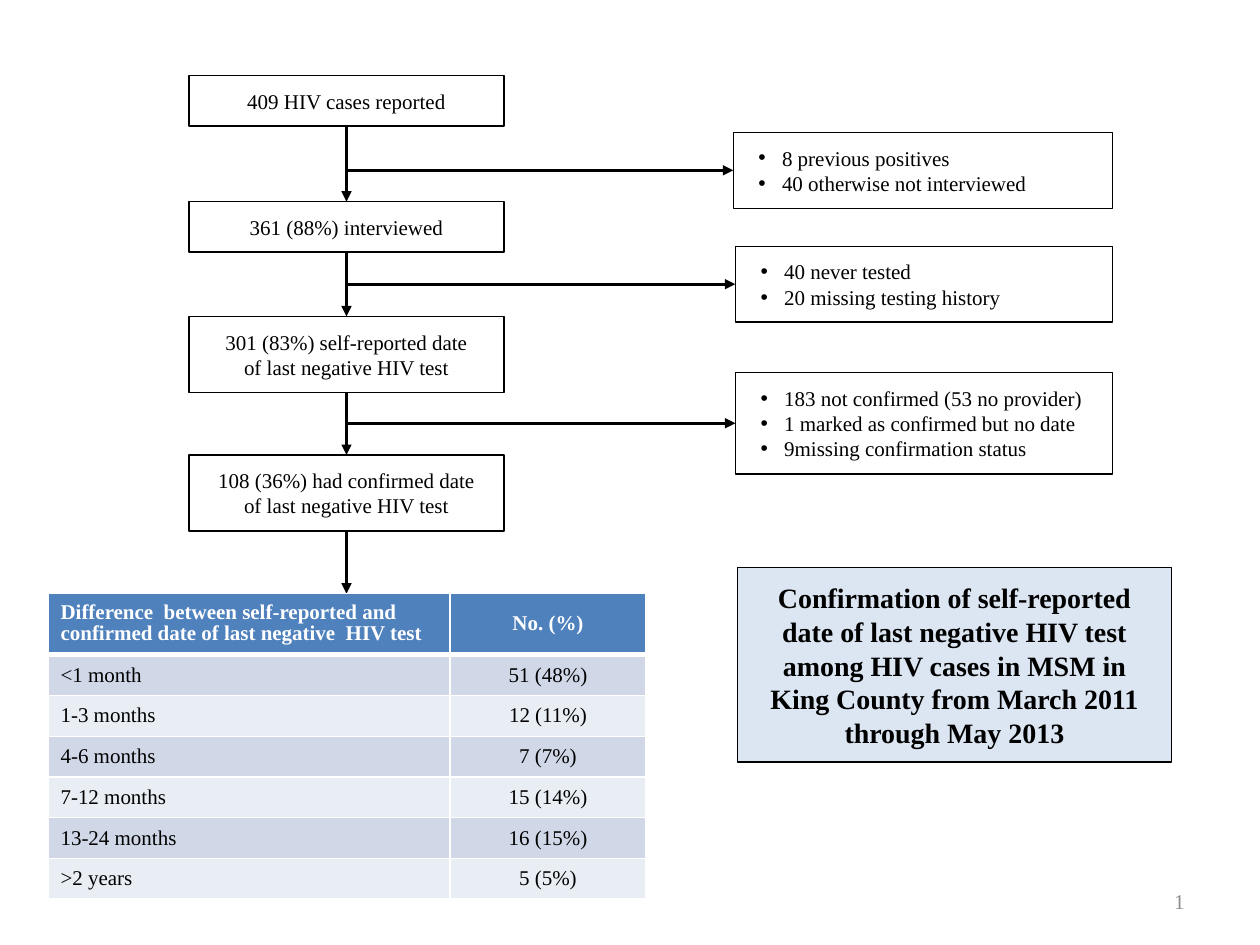
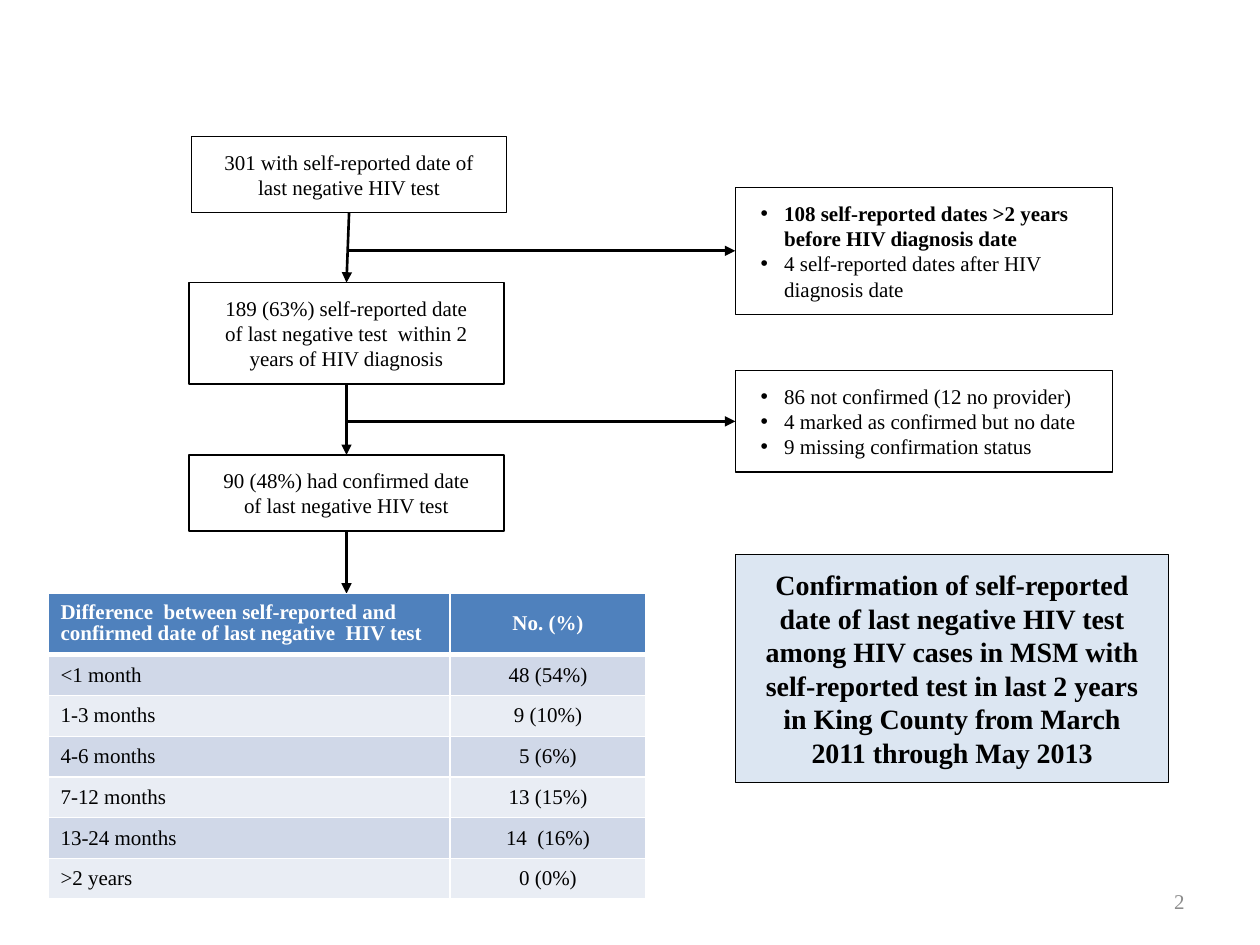
from lxml import etree
from pptx import Presentation
from pptx.dml.color import RGBColor
from pptx.enum import shapes, text
from pptx.oxml import ns
from pptx.util import Pt

# Shared style
FONT = "Times New Roman"
BLACK, WHITE, GREY = "000000", "FFFFFF", "8C8C8C"
TITLE_FILL, HEADER_FILL = "DCE6F2", "4F81BD"
BAND_FILLS = ("D0D8E8", "E9EDF4")
LEFT, CENTER, RIGHT = text.PP_ALIGN.LEFT, text.PP_ALIGN.CENTER, text.PP_ALIGN.RIGHT

# Shared layout, in points
STEP_LEFT, STEP_WIDTH = 108, 180
STEP_MIDDLE = STEP_LEFT + STEP_WIDTH / 2
SIDE_LEFT, SIDE_WIDTH = 420.2, 215.4
TITLE_WIDTH = 247.7
INSET_X, INSET_Y = 14.4, 7.2
BULLET_INDENT = 13.5
TABLE_LEFT, TABLE_TOP = 27.4, 339.2
COLUMN_WIDTHS = (229.7, 112.1)
HEADER_HEIGHT, ROW_HEIGHT = 35, 23.3

TABLE_HEADER = ("Difference  between self-reported and confirmed date of "
                "last negative  HIV test", "No. (%)")
INTERVALS = ("<1 month", "1-3 months", "4-6 months", "7-12 months",
             "13-24 months", ">2 years")

# Steps: (left, top, line count, text)
# Exclusions: (left, top, line count, bullets, number of bold bullets)
# Title: (left, top, line count, text)
FLOWS = [
    {
        "steps": [
            (STEP_LEFT, 43.2, 1, "409 HIV cases reported"),
            (STEP_LEFT, 115.2, 1, "361 (88%) interviewed"),
            (STEP_LEFT, 180.8, 2, "301 (83%) self-reported date of last negative HIV test"),
            (STEP_LEFT, 260, 2, "108 (36%) had confirmed date of last negative HIV test"),
        ],
        "exclusions": [
            (419, 75.6, 2, ["8 previous positives", "40 otherwise not interviewed"], 0),
            (SIDE_LEFT, 140.7, 2, ["40 never tested", "20 missing testing history"], 0),
            (SIDE_LEFT, 212.9, 3, ["183 not confirmed (53 no provider)",
                                   "1 marked as confirmed but no date",
                                   "9missing confirmation status"], 0),
        ],
        "counts": ("51 (48%)", "12 (11%)", "7 (7%)", "15 (14%)", "16 (15%)", "5 (5%)"),
        "title": (421.6, 324.3, 5,
                  "Confirmation of self-reported date of last negative HIV test among "
                  "HIV cases in MSM in King County from March 2011 through May 2013"),
    },
    {
        "steps": [
            (109.5, 78, 2, "301 with self-reported date of last negative HIV test"),
            (STEP_LEFT, 161.5, 3, "189 (63%) self-reported date of last negative test  "
                                  "within 2 years of HIV diagnosis"),
            (STEP_LEFT, 260, 2, "90 (48%) had confirmed date of last negative HIV test"),
        ],
        "exclusions": [
            (SIDE_LEFT, 107.1, 4, ["108 self-reported dates >2 years before HIV diagnosis date",
                                   "4 self-reported dates after HIV diagnosis date"], 1),
            (SIDE_LEFT, 211.8, 3, ["86 not confirmed (12 no provider)",
                                   "4 marked as confirmed but no date",
                                   "9 missing confirmation status"], 0),
        ],
        "counts": ("48 (54%)", "9 (10%)", "5 (6%)", "13 (15%)", "14  (16%)", "0 (0%)"),
        "title": (SIDE_LEFT, 316.7, 6,
                  "Confirmation of self-reported date of last negative HIV test among "
                  "HIV cases in MSM with self-reported test in last 2 years in King "
                  "County from March 2011 through May 2013"),
    },
]


def rgb(hex_color):
    return RGBColor.from_string(hex_color)


def set_paragraph(paragraph, content, align, size=12, color=BLACK, bold=False):
    paragraph.text = content
    paragraph.alignment = align
    for run in paragraph.runs:
        run.font.name = FONT
        run.font.size = Pt(size)
        run.font.bold = bold
        run.font.color.rgb = rgb(color)


def add_bullet(paragraph):
    properties = paragraph._p.get_or_add_pPr()
    properties.set("marL", str(Pt(BULLET_INDENT)))
    properties.set("indent", str(-Pt(BULLET_INDENT)))
    etree.SubElement(properties, ns.qn("a:buFont"), typeface="Arial")
    etree.SubElement(properties, ns.qn("a:buChar"), char="•")


def add_box(slide, left, top, width, lines, size=12, fill=WHITE):
    """Outlined box, tall enough for the given number of text lines."""
    height = 2 * INSET_Y + lines * size * 1.21
    shape = slide.shapes.add_shape(shapes.MSO_SHAPE.RECTANGLE,
                                   Pt(left), Pt(top), Pt(width), Pt(height))
    shape.shadow.inherit = False
    shape.fill.solid()
    shape.fill.fore_color.rgb = rgb(fill)
    shape.line.color.rgb = rgb(BLACK)
    shape.line.width = Pt(0.75)
    frame = shape.text_frame
    frame.word_wrap = True
    frame.auto_size = text.MSO_AUTO_SIZE.SHAPE_TO_FIT_TEXT
    frame.vertical_anchor = text.MSO_ANCHOR.MIDDLE
    frame.margin_left = frame.margin_right = Pt(INSET_X)
    frame.margin_top = frame.margin_bottom = Pt(INSET_Y)
    return shape


def add_step(slide, left, top, lines, content):
    shape = add_box(slide, left, top, STEP_WIDTH, lines)
    set_paragraph(shape.text_frame.paragraphs[0], content, CENTER)
    return shape


def add_exclusion(slide, left, top, lines, bullets, bold_count):
    right = SIDE_LEFT + SIDE_WIDTH
    shape = add_box(slide, left, top, right - left, lines)
    frame = shape.text_frame
    frame.text = "\n".join(bullets)
    for index, (paragraph, content) in enumerate(zip(frame.paragraphs, bullets)):
        set_paragraph(paragraph, content, LEFT, bold=index < bold_count)
        add_bullet(paragraph)
    return shape


def add_title(slide, left, top, lines, content):
    shape = add_box(slide, left, top, TITLE_WIDTH, lines, 16, TITLE_FILL)
    set_paragraph(shape.text_frame.paragraphs[0], content, CENTER, 16, bold=True)


def add_arrow(slide, start, end, source=None, target=None):
    """Arrow between two points; source and target are (shape, side) joints."""
    arrow = slide.shapes.add_connector(shapes.MSO_CONNECTOR.STRAIGHT, *start, *end)
    if source:
        arrow.begin_connect(*source)
    if target:
        arrow.end_connect(*target)
    arrow.line.color.rgb = rgb(BLACK)
    arrow.line.width = Pt(1.5)
    etree.SubElement(arrow.line._get_or_add_ln(), ns.qn("a:tailEnd"), type="triangle")
    etree.SubElement(arrow._element.spPr, ns.qn("a:effectLst"))


def add_arrows(slide, steps, exclusions):
    # Down the chain of steps, then on to the table
    for upper, lower in zip(steps, steps[1:]):
        add_arrow(slide, (0, 0), (0, 0), (upper, 2), (lower, 0))
    last = steps[-1]
    add_arrow(slide, (Pt(STEP_MIDDLE), last.top + last.height),
              (Pt(STEP_MIDDLE), Pt(TABLE_TOP)), (last, 2))
    # Out to each exclusion
    for exclusion in exclusions:
        middle = exclusion.top + exclusion.height // 2
        add_arrow(slide, (Pt(STEP_MIDDLE), middle), (exclusion.left, middle),
                  target=(exclusion, 1))


def set_borders(cell, bottom_width):
    properties = cell._tc.get_or_add_tcPr()
    for side, width in (("L", 1), ("R", 1), ("T", 1), ("B", bottom_width)):
        line = etree.SubElement(properties, ns.qn(f"a:ln{side}"), w=str(Pt(width)))
        fill = etree.SubElement(line, ns.qn("a:solidFill"))
        etree.SubElement(fill, ns.qn("a:srgbClr"), val=WHITE)


def add_difference_table(slide, counts):
    rows = [TABLE_HEADER, *zip(INTERVALS, counts)]
    height = HEADER_HEIGHT + ROW_HEIGHT * len(counts)
    table = slide.shapes.add_table(len(rows), len(COLUMN_WIDTHS), Pt(TABLE_LEFT),
                                   Pt(TABLE_TOP), Pt(sum(COLUMN_WIDTHS)), Pt(height)).table
    for column, width in zip(table.columns, COLUMN_WIDTHS):
        column.width = Pt(width)
    for row_index, row in enumerate(rows):
        header = row_index == 0
        table.rows[row_index].height = Pt(HEADER_HEIGHT if header else ROW_HEIGHT)
        for column_index, content in enumerate(row):
            cell = table.cell(row_index, column_index)
            cell.vertical_anchor = text.MSO_ANCHOR.MIDDLE
            set_borders(cell, 3 if header else 1)
            cell.fill.solid()
            cell.fill.fore_color.rgb = rgb(
                HEADER_FILL if header else BAND_FILLS[(row_index - 1) % 2])
            paragraph = cell.text_frame.paragraphs[0]
            set_paragraph(paragraph, content, CENTER if column_index else LEFT,
                          color=WHITE if header else BLACK, bold=header)
            if header:
                paragraph.line_spacing = 0.9


def add_slide_number(slide, number):
    frame = slide.shapes.add_textbox(Pt(516), Pt(500.5), Pt(168), Pt(28.8)).text_frame
    frame.word_wrap = True
    frame.vertical_anchor = text.MSO_ANCHOR.MIDDLE
    set_paragraph(frame.paragraphs[0], str(number), RIGHT, color=GREY)


def main():
    presentation = Presentation()
    presentation.slide_width, presentation.slide_height = Pt(720), Pt(540)
    for number, flow in enumerate(FLOWS, 1):
        slide = presentation.slides.add_slide(presentation.slide_layouts[6])
        steps = [add_step(slide, *step) for step in flow["steps"]]
        exclusions = [add_exclusion(slide, *item) for item in flow["exclusions"]]
        add_arrows(slide, steps, exclusions)
        add_difference_table(slide, flow["counts"])
        add_title(slide, *flow["title"])
        add_slide_number(slide, number)
    presentation.save("out.pptx")


if __name__ == "__main__":
    main()
